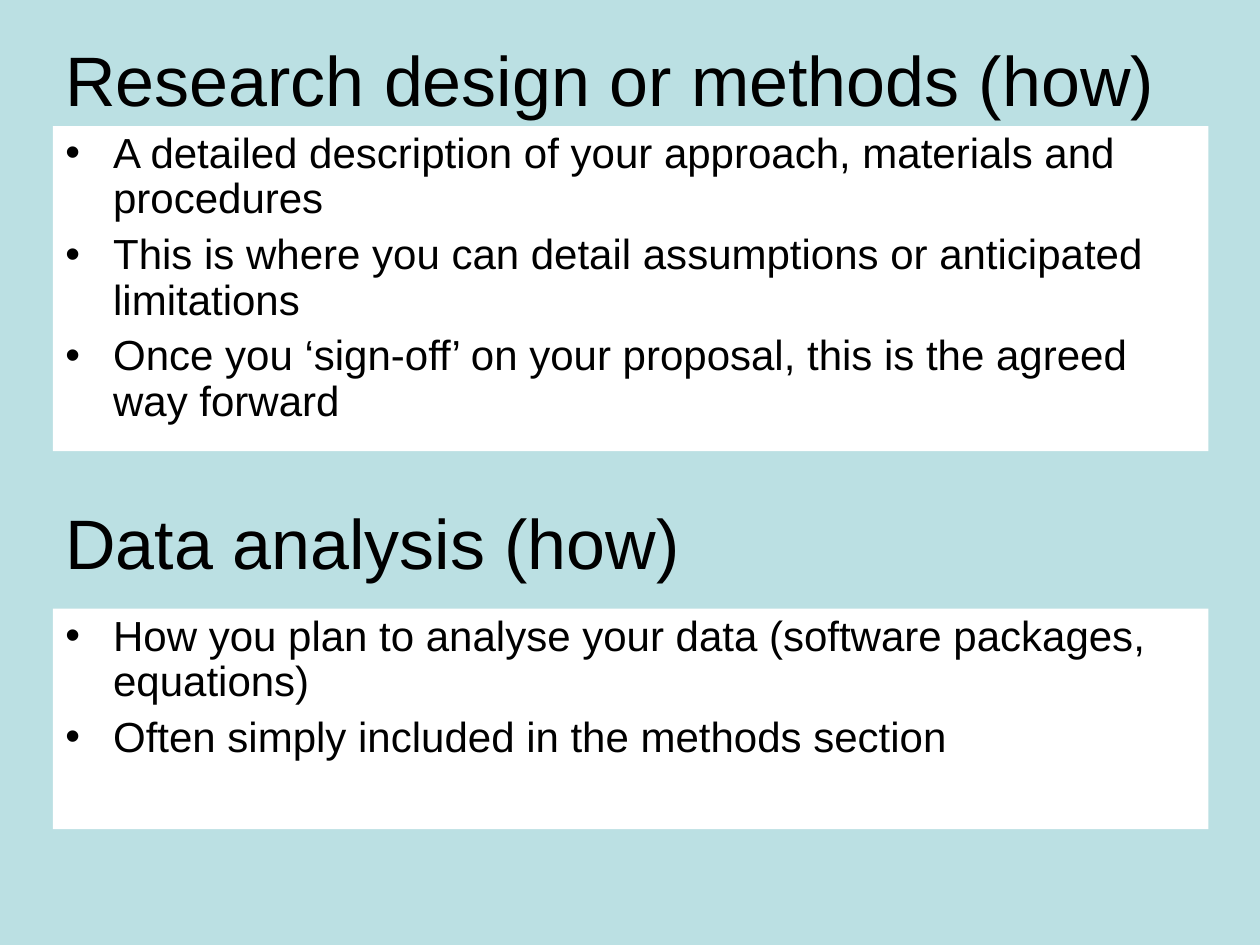
from dataclasses import dataclass

from lxml import etree
from pptx import Presentation
from pptx.dml.color import RGBColor
from pptx.enum.shapes import MSO_SHAPE
from pptx.enum.text import MSO_ANCHOR, PP_ALIGN
from pptx.oxml.ns import qn
from pptx.slide import Slide
from pptx.util import Inches, Pt

RECT = MSO_SHAPE.RECTANGLE
MIDDLE, TOP = MSO_ANCHOR.MIDDLE, MSO_ANCHOR.TOP
LEFT = PP_ALIGN.LEFT

COLORS = {"back": "BBE0E3", "panel": "FFFFFF", "text": "000000"}
FONT = "Arial"
MARGIN = 0.42
INDENT = 0.38


@dataclass
class Section:
    title: str
    title_top: float
    panel_top: float
    panel_height: float
    points: list[str]


SECTIONS = [
    Section("Research design or methods (how)", 0, 1, 2.58, [
        "A detailed description of your approach, materials and procedures",
        "This is where you can detail assumptions or anticipated limitations",
        "Once you ‘sign-off’ on your proposal, this is the agreed way forward",
    ]),
    Section("Data analysis (how)", 3.67, 4.83, 1.75, [
        "How you plan to analyse your data (software packages, equations)",
        "Often simply included in the methods section",
    ]),
]


def color(name: str) -> RGBColor:
    return RGBColor.from_string(COLORS[name])


def style(para, size: float) -> None:
    para.alignment = LEFT
    for run in para.runs:
        run.font.name = FONT
        run.font.size = Pt(size)
        run.font.color.rgb = color("text")


def add_bullet(para) -> None:
    para.line_spacing = 0.9
    para.space_before = Pt(6)
    props = para._p.get_or_add_pPr()
    props.set("marL", str(Inches(INDENT)))
    props.set("indent", str(-Inches(INDENT)))
    tint = etree.SubElement(props, qn("a:buClr"))
    etree.SubElement(tint, qn("a:srgbClr"), val=COLORS["text"])
    etree.SubElement(props, qn("a:buFont"), typeface=FONT)
    etree.SubElement(props, qn("a:buChar"), char="•")


def draw_title(slide: Slide, part: Section) -> None:
    box = slide.shapes.add_textbox(
        Inches(MARGIN), Inches(part.title_top), Inches(9), Inches(1.25))
    frame = box.text_frame
    frame.word_wrap = True
    frame.vertical_anchor = MIDDLE
    frame.text = part.title
    style(frame.paragraphs[0], 40)


def draw_panel(slide: Slide, part: Section) -> None:
    panel = slide.shapes.add_shape(
        RECT, Inches(MARGIN), Inches(part.panel_top),
        Inches(9.17), Inches(part.panel_height))
    panel.shadow.inherit = False
    panel.fill.solid()
    panel.fill.fore_color.rgb = color("panel")
    panel.line.fill.background()
    frame = panel.text_frame
    frame.word_wrap = True
    frame.vertical_anchor = TOP
    frame.text = "\n".join(part.points)
    for para in frame.paragraphs:
        style(para, 24)
        add_bullet(para)


def main() -> None:
    deck = Presentation()
    deck.slide_width, deck.slide_height = Inches(10), Inches(7.5)
    slide = deck.slides.add_slide(deck.slide_layouts[6])
    slide.background.fill.solid()
    slide.background.fill.fore_color.rgb = color("back")
    for part in SECTIONS:
        draw_title(slide, part)
        draw_panel(slide, part)
    deck.save("out.pptx")


if __name__ == "__main__":
    main()
